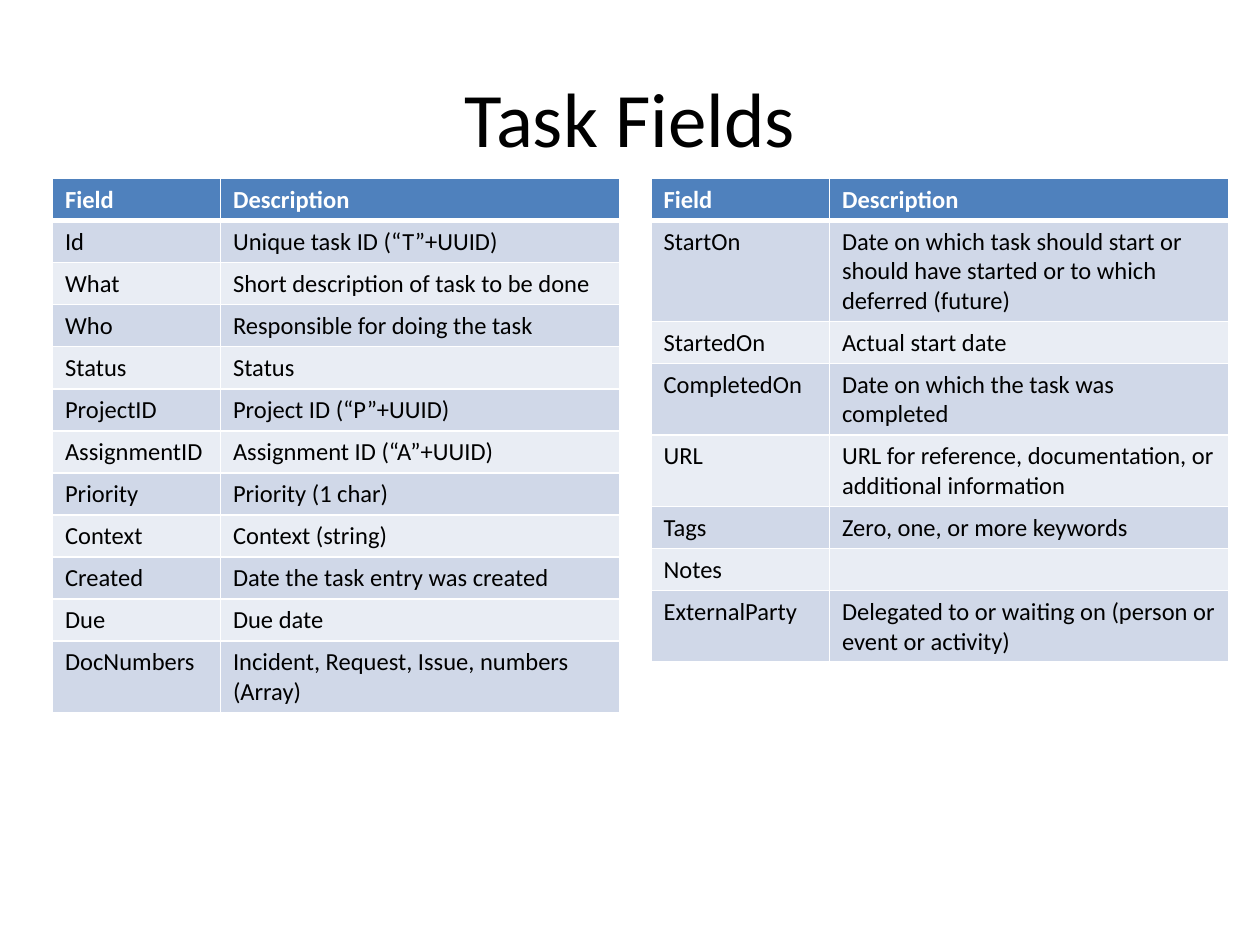
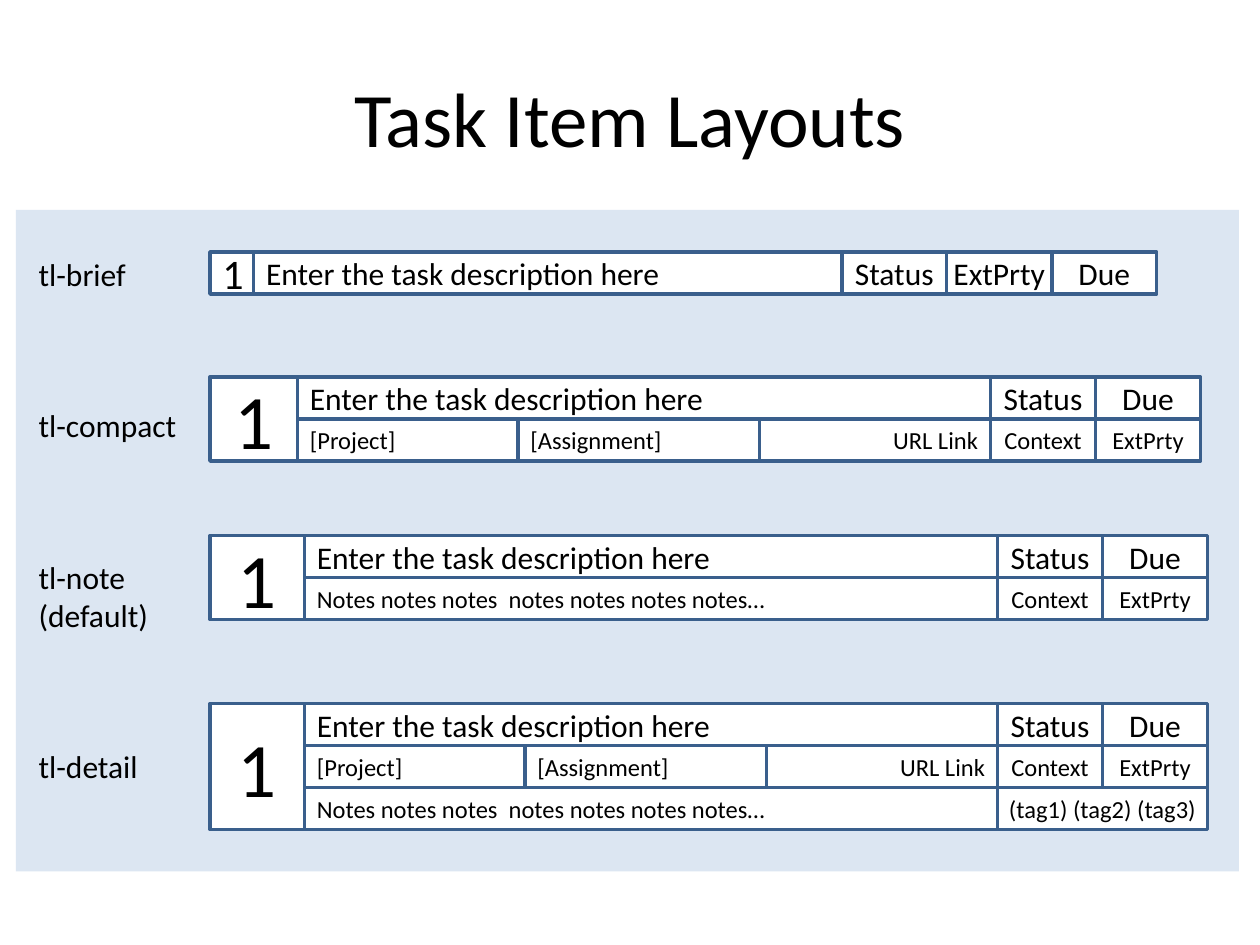
"""Build two slides on task fields and task item layouts."""

from dataclasses import dataclass

from lxml import etree
from pptx import Presentation
from pptx.dml.color import RGBColor
from pptx.enum.shapes import MSO_SHAPE
from pptx.enum.text import MSO_ANCHOR, PP_ALIGN
from pptx.oxml.ns import qn
from pptx.slide import Slide
from pptx.table import _Cell
from pptx.text.text import TextFrame, _Paragraph
from pptx.util import Pt

RECT = MSO_SHAPE.RECTANGLE
MIDDLE = MSO_ANCHOR.MIDDLE
LEFT, CENTER, RIGHT = PP_ALIGN.LEFT, PP_ALIGN.CENTER, PP_ALIGN.RIGHT

BLACK = RGBColor(0x00, 0x00, 0x00)
WHITE = RGBColor(0xFF, 0xFF, 0xFF)
BLUE = RGBColor(0x4F, 0x81, 0xBD)
NAVY = RGBColor(0x3A, 0x5F, 0x8C)
PALE = RGBColor(0xDC, 0xE6, 0xF2)
BANDS = (RGBColor(0xE9, 0xED, 0xF4), RGBColor(0xD0, 0xD8, 0xE8))

FONT = "Calibri"
BIG, MID, SMALL = 44, 18, 14
EDGE, STEP, SLOT = 120, 24, 60


@dataclass(frozen=True)
class Grid:
    """A two-column table of fields and their descriptions."""

    left: float
    height: float
    first: float
    rows: tuple[tuple[str, str], ...]


@dataclass(frozen=True)
class Box:
    """One box in a row of a task item."""

    text: str
    width: float
    size: float = SMALL
    align: PP_ALIGN = CENTER
    pad: float = 7.2
    shift: float = 0


@dataclass(frozen=True)
class Item:
    """A task item: a number box followed by rows of boxes."""

    top: float
    lead: float
    size: float
    rows: tuple[tuple[Box, ...], ...]


GRIDS = (
    Grid(30, 304.5, 96, (
        ("Field", "Description"),
        ("Id", "Unique task ID (“T”+UUID)"),
        ("What", "Short description of task to be done"),
        ("Who", "Responsible for doing the task"),
        ("Status", "Status"),
        ("ProjectID", "Project ID (“P”+UUID)"),
        ("AssignmentID", "Assignment ID (“A”+UUID)"),
        ("Priority", "Priority (1 char)"),
        ("Context", "Context (string)"),
        ("Created", "Date the task entry was created"),
        ("Due", "Due date"),
        ("DocNumbers", "Incident, Request, Issue, numbers (Array)"),
    )),
    Grid(372, 276, 102, (
        ("Field", "Description"),
        ("StartOn", "Date on which task should start or should have started "
                    "or to which deferred (future)"),
        ("StartedOn", "Actual start date"),
        ("CompletedOn", "Date on which the task was completed"),
        ("URL", "URL for reference, documentation, or additional information"),
        ("Tags", "Zero, one, or more keywords"),
        ("Notes", ""),
        ("ExternalParty", "Delegated to or waiting on (person or event or activity)"),
    )),
)

TASK = Box("Enter the task description here", 396, MID, LEFT)
NOTES = Box("Notes notes notes  notes notes notes notes…", 396, SMALL, LEFT)
DUE = Box("Due", SLOT, MID)
HEAD = (TASK, Box("Status", SLOT, MID), DUE)
SIDE = (Box("Context", SLOT), Box("ExtPrty", SLOT))
LINKS = (
    Box("[Project]", 126, SMALL, LEFT),
    Box("[Assignment]", 138, SMALL, LEFT),
    Box("URL Link", 132, SMALL, RIGHT),
)
TAGS = Box("(tag1) (tag2) (tag3)", 2 * SLOT, pad=0)
BRIEF = (
    TASK,
    Box("Status", SLOT, MID, shift=-SLOT),
    Box("ExtPrty", SLOT, MID, pad=0),
    DUE,
)
ITEMS = (
    Item(144, 25, 24, (BRIEF,)),
    Item(215.5, 50, BIG, (HEAD, LINKS + SIDE)),
    Item(306, 54, BIG, (HEAD, (NOTES,) + SIDE)),
    Item(402, 54, BIG, (HEAD, LINKS + SIDE, (NOTES, TAGS))),
)
LABELS = (("tl-brief", 0), ("tl-compact", 65), ("tl-note", 65),
          ("(default)", 0), ("tl-detail", 65))


def style(para: _Paragraph, size: float, color: RGBColor = BLACK,
          align: PP_ALIGN = LEFT, bold: bool = False) -> None:
    """Set the font and alignment of a paragraph."""
    para.alignment = align
    font = para.font
    font.name, font.size, font.bold = FONT, Pt(size), bold
    font.color.rgb = color


def write(frame: TextFrame, text: str, size: float, align: PP_ALIGN) -> None:
    """Put one line of wrapped, vertically centred text in a frame."""
    frame.word_wrap = True
    frame.vertical_anchor = MIDDLE
    frame.text = text
    style(frame.paragraphs[0], size, align=align)


def add_title(slide: Slide, text: str) -> None:
    """Add the title that both slides share."""
    box = slide.shapes.add_textbox(Pt(36), Pt(21.6), Pt(648), Pt(90))
    write(box.text_frame, text, BIG, CENTER)


def add_rect(shapes, left: float, top: float, width: float, height: float,
             fill: RGBColor):
    """Add a plain filled rectangle without outline or shadow."""
    rect = shapes.add_shape(RECT, Pt(left), Pt(top), Pt(width), Pt(height))
    rect.shadow.inherit = False
    rect.fill.solid()
    rect.fill.fore_color.rgb = fill
    rect.line.fill.background()
    return rect


def set_edges(cell: _Cell, top: float, base: float) -> None:
    """Give a cell white borders, with its own top and bottom widths."""
    props = cell._tc.get_or_add_tcPr()
    widths = {"a:lnL": 1, "a:lnR": 1, "a:lnT": top, "a:lnB": base}
    for spot, (tag, width) in enumerate(widths.items()):
        line = etree.SubElement(props, qn(tag), w=str(Pt(width)))
        fill = etree.SubElement(line, qn("a:solidFill"))
        etree.SubElement(fill, qn("a:srgbClr"), val=str(WHITE))
        props.insert(spot, line)


def add_grid(slide: Slide, grid: Grid) -> None:
    """Add a banded field table."""
    widths = (grid.first, 228)
    frame = slide.shapes.add_table(len(grid.rows), 2, Pt(grid.left), Pt(102),
                                   Pt(sum(widths)), Pt(grid.height))
    table = frame.table
    for column, width in zip(table.columns, widths):
        column.width = Pt(width)
    for row, texts in enumerate(grid.rows):
        table.rows[row].height = Pt(21.6)
        head = row == 0
        for col, text in enumerate(texts):
            cell = table.cell(row, col)
            cell.text = text
            style(cell.text_frame.paragraphs[0], SMALL,
                  WHITE if head else BLACK, bold=head)
            cell.fill.solid()
            cell.fill.fore_color.rgb = BLUE if head else BANDS[row % 2]
            set_edges(cell, 3 if row == 1 else 1, 3 if head else 1)
    frame.height = Pt(grid.height)


def add_box(shapes, box: Box, left: float, top: float, height: float) -> None:
    """Add one outlined box of a task item."""
    rect = add_rect(shapes, left, top, box.width, height, WHITE)
    rect.line.color.rgb = NAVY
    rect.line.width = Pt(2)
    frame = rect.text_frame
    frame.margin_left = frame.margin_right = Pt(box.pad)
    write(frame, box.text, box.size, box.align)


def add_item(slide: Slide, item: Item) -> None:
    """Add a task item as one group."""
    shapes = slide.shapes.add_group_shape().shapes
    lead = Box("1", item.lead, item.size)
    add_box(shapes, lead, EDGE, item.top, STEP * len(item.rows))
    for row, boxes in enumerate(item.rows):
        left = EDGE + item.lead
        for box in boxes:
            left += box.shift
            add_box(shapes, box, left, item.top + row * STEP, STEP)
            left += box.width


def add_labels(slide: Slide) -> None:
    """Add the layout names beside the task items."""
    box = slide.shapes.add_textbox(Pt(15), Pt(120), Pt(117), Pt(399.6))
    frame = box.text_frame
    frame.word_wrap = True
    frame.margin_top = Pt(25.6)
    for row, (text, gap) in enumerate(LABELS):
        para = frame.add_paragraph() if row else frame.paragraphs[0]
        para.text = text
        para.space_before = Pt(gap)
        style(para, MID)


def main() -> None:
    """Build and save the slides."""
    deck = Presentation()
    deck.slide_width, deck.slide_height = Pt(720), Pt(540)
    blank = deck.slide_layouts[6]

    fields = deck.slides.add_slide(blank)
    add_title(fields, "Task Fields")
    for grid in GRIDS:
        add_grid(fields, grid)

    plans = deck.slides.add_slide(blank)
    add_rect(plans.shapes, 9, 120, 699, 378, PALE)
    add_title(plans, "Task Item Layouts")
    for item in ITEMS:
        add_item(plans, item)
    add_labels(plans)

    deck.save("out.pptx")


main()
